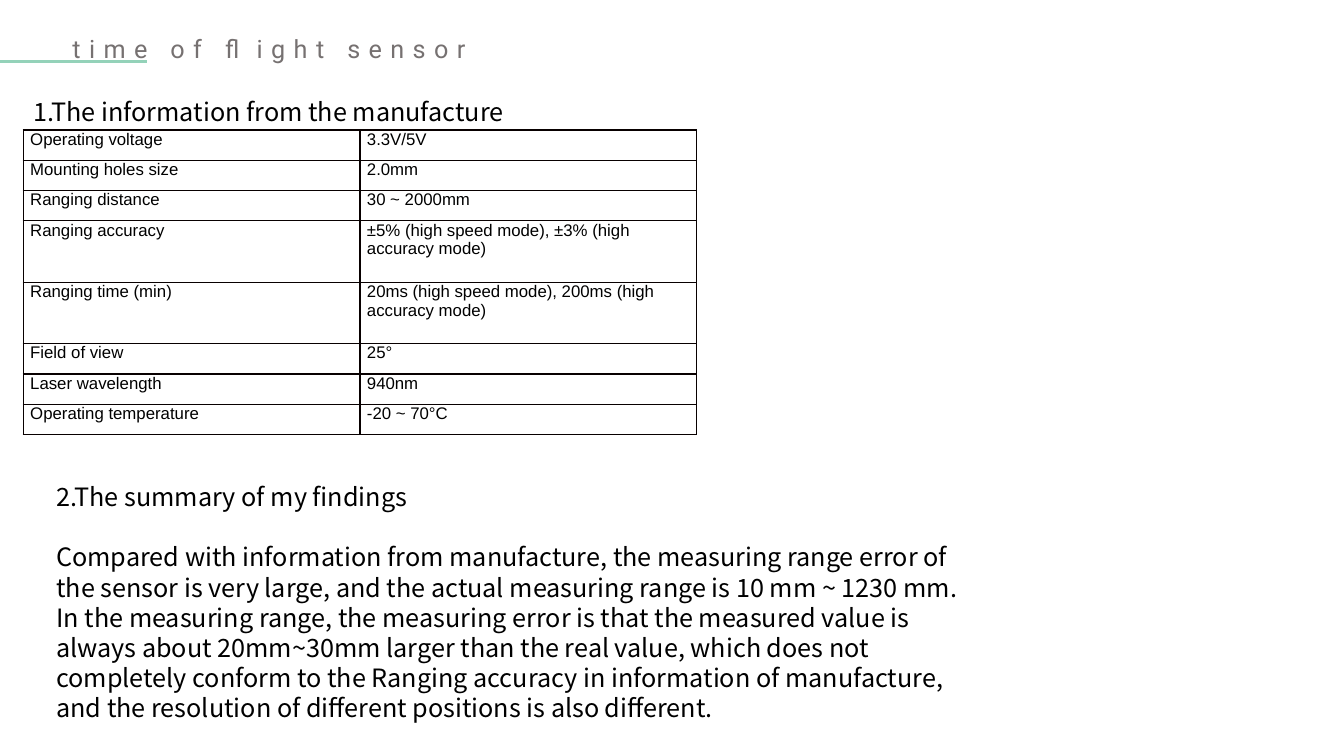
"""Build the time of flight sensor slide."""
from lxml import etree
from pptx import Presentation
from pptx import util as u
from pptx.dml.color import RGBColor
from pptx.enum import shapes, text
from pptx.oxml import ns

PX = 9144
BLACK = RGBColor(0x00, 0x00, 0x00)
BORDER = RGBColor(0x08, 0x00, 0x00)
GREY = RGBColor(0x76, 0x71, 0x71)
GREEN = RGBColor(0x94, 0xD2, 0xB9)
BODY_FONT = "Noto Sans CJK SC"
LINE_PITCH = u.Pt(21.5)

SPECS = [
    ("Operating voltage", "3.3V/5V"),
    ("Mounting holes size", "2.0mm"),
    ("Ranging distance", "30 ~ 2000mm"),
    ("Ranging accuracy", "±5% (high speed mode), ±3% (high accuracy mode)"),
    ("Ranging time (min)", "20ms (high speed mode), 200ms (high accuracy mode)"),
    ("Field of view", "25°"),
    ("Laser wavelength", "940nm"),
    ("Operating temperature", "-20 ~ 70°C"),
]
TALL_ROWS = (3, 4)
FINDINGS = (
    "Compared with information from manufacture, the measuring range error of "
    "the sensor is very large, and the actual measuring range is 10 mm ~ 1230 mm. "
    "In the measuring range, the measuring error is that the measured value is "
    "always about 20mm~30mm larger than the real value, which does not "
    "completely conform to the Ranging accuracy in information of manufacture, "
    "and the resolution of different positions is also different."
)


def px(*lengths):
    """Turn px lengths into EMU."""
    return [u.Emu(n * PX) for n in lengths]


def add_run(p, words, size, font, color):
    """Add one formatted run to a paragraph."""
    r = p.add_run()
    r.text = words
    r.font.size = u.Pt(size)
    r.font.name = font
    r.font.color.rgb = color
    return r


def add_box(s, box):
    """Add an empty wrapping text box and return its frame."""
    tf = s.shapes.add_textbox(*px(*box)).text_frame
    tf.word_wrap = True
    tf.auto_size = text.MSO_AUTO_SIZE.NONE
    return tf


def add_title(s, box, words):
    """Add the widely spaced slide title."""
    r = add_run(add_box(s, box).paragraphs[0], words, 18, "Roboto", GREY)
    r.font._element.set("spc", "600")


def add_body(s, box, paragraphs):
    """Add body paragraphs one line apart."""
    tf = add_box(s, box)
    tf.margin_top, = px(8)
    for i, words in enumerate(paragraphs):
        p = tf.add_paragraph() if i else tf.paragraphs[0]
        p.line_spacing = LINE_PITCH
        p.space_before = LINE_PITCH if i else u.Pt(0)
        add_run(p, words, 18, BODY_FONT, BLACK)


def add_rule(s, x1, y1, x2, y2):
    """Add the green line beneath the title."""
    line = s.shapes.add_connector(shapes.MSO_CONNECTOR.STRAIGHT, *px(x1, y1, x2, y2))
    line.line.color.rgb = GREEN
    line.line.width = u.Pt(1.5)
    etree.SubElement(line._element.spPr, ns.qn("a:effectLst"))


def set_borders(cell):
    """Give a cell a thin border on all four sides."""
    props = cell._tc.get_or_add_tcPr()
    for side in ("lnL", "lnR", "lnT", "lnB"):
        ln = etree.SubElement(props, ns.qn(f"a:{side}"), w=str(u.Pt(1)))
        fill = etree.SubElement(ln, ns.qn("a:solidFill"))
        etree.SubElement(fill, ns.qn("a:srgbClr"), val=str(BORDER))


def add_spec_table(s, left, top, col_width, row_height, tall_height):
    """Add the two-column table of sensor specifications."""
    heights = [tall_height if i in TALL_ROWS else row_height for i in range(len(SPECS))]
    frame = s.shapes.add_table(len(SPECS), 2, *px(left, top, 2 * col_width, sum(heights)))
    table = frame.table
    table.first_row = table.horz_banding = False
    for column in table.columns:
        column.width, = px(col_width)
    for row, height, words in zip(table.rows, heights, SPECS):
        row.height, = px(height)
        for cell, value in zip(row.cells, words):
            cell.margin_left, cell.margin_right = px(7, 7)
            cell.margin_top = cell.margin_bottom = 0
            set_borders(cell)
            cell.fill.background()
            add_run(cell.text_frame.paragraphs[0], value, 12, "Arial", BLACK)


def main():
    """Compose and save the slide."""
    prs = Presentation()
    prs.slide_width, prs.slide_height = px(1333, 750)
    s = prs.slides.add_slide(prs.slide_layouts[6])
    add_rule(s, 0, 61, 146, 61)
    add_title(s, (62, 28, 430, 40), "time of flight sensor")
    add_body(s, (23, 88, 556, 40), ["1.The information from the manufacture"])
    add_spec_table(s, 23, 129, 334, 30, 61)
    add_body(s, (46, 470, 914, 203), ["2.The summary of my findings", FINDINGS])
    prs.save("out.pptx")


if __name__ == "__main__":
    main()
